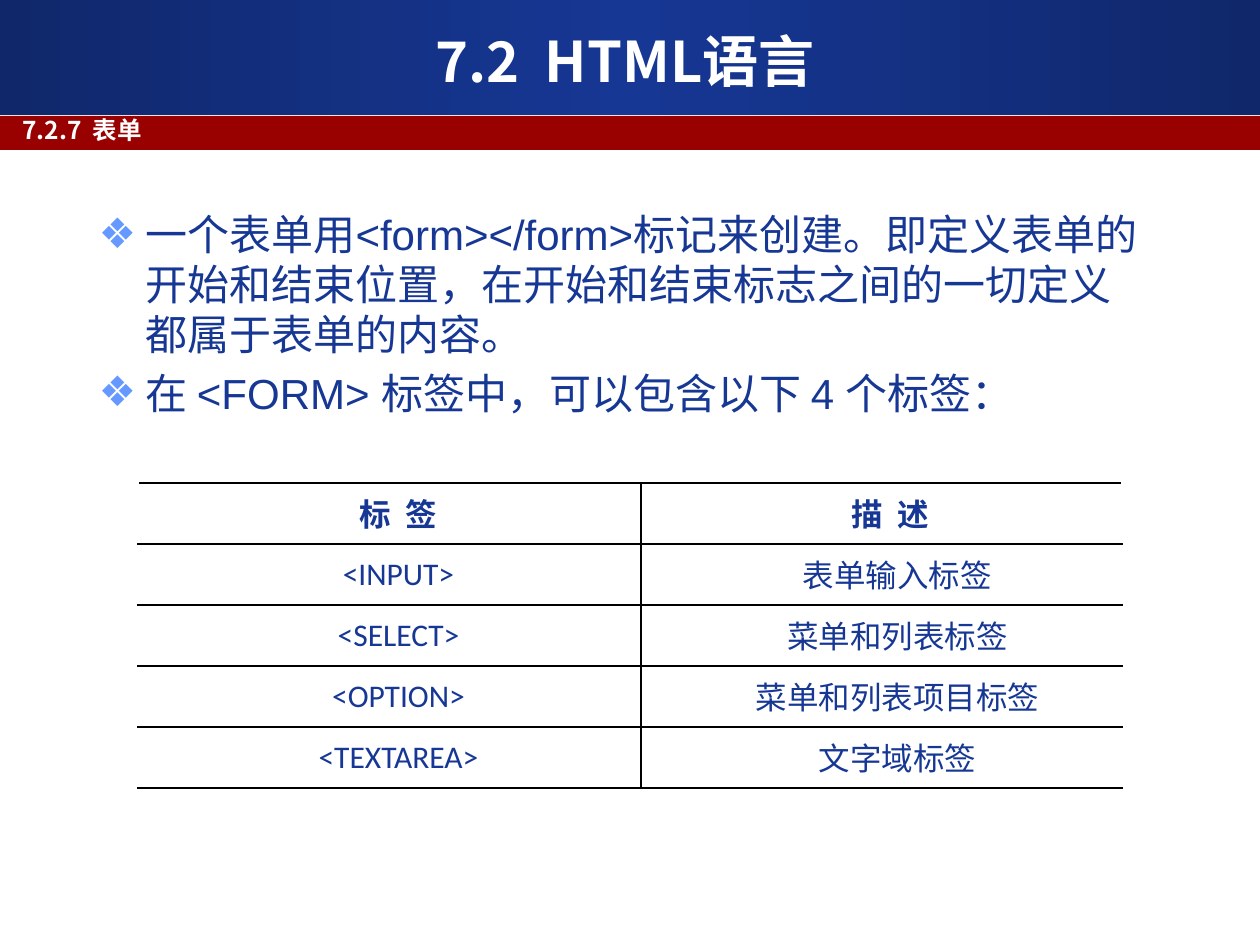
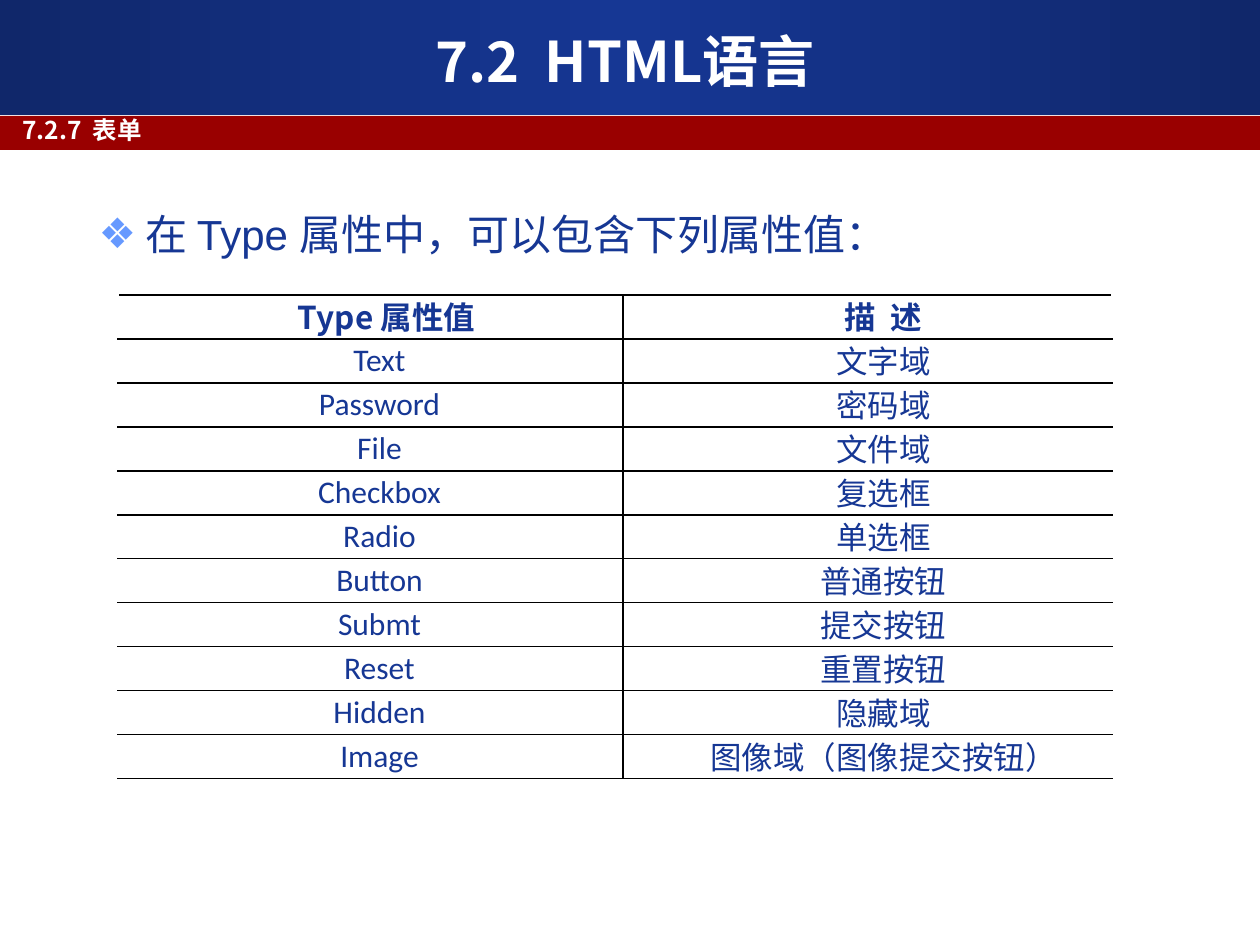
from copy import deepcopy
from dataclasses import dataclass

from lxml.etree import SubElement
from pptx import Presentation
from pptx.dml.color import RGBColor
from pptx.enum.shapes import MSO_SHAPE
from pptx.enum.text import MSO_ANCHOR, MSO_AUTO_SIZE, PP_ALIGN
from pptx.oxml import parse_xml
from pptx.oxml.ns import nsdecls, qn
from pptx.util import Emu, Pt

PX_PER_INCH = 126
SLIDE_WIDTH, SLIDE_HEIGHT = 1260, 945


@dataclass(frozen=True)
class Theme:
    navy: str = "10276A"
    blue: str = "163794"
    red: str = "990000"
    bullet: str = "6699FF"
    white: str = "FFFFFF"
    rule: str = "000000"
    cjk_font: str = "Noto Sans CJK SC"
    list_font: str = "Arial"
    cell_font: str = "Calibri"
    title_size: float = 32
    list_size: float = 24
    cell_size: float = 18
    section_size: float = 14
    list_leading: float = 28.5
    cell_leading: float = 25
    section_leading: float = 17.5


def px(length):
    return Emu(round(length * 914400 / PX_PER_INCH))


def place(shape, left, top, width, height):
    shape.left, shape.top = px(left), px(top)
    shape.width, shape.height = px(width), px(height)


class Lecture:
    """Holds the theme, the presentation and the slide being filled."""

    def __init__(self, theme):
        self.theme = theme
        self.presentation = Presentation()
        self.presentation.slide_width = px(SLIDE_WIDTH)
        self.presentation.slide_height = px(SLIDE_HEIGHT)
        self.layout = self.presentation.slide_layouts[1]
        self.slide = None

    def new_slide(self):
        first = self.slide is None
        self.slide = self.presentation.slides.add_slide(self.layout)
        if first:
            self.layout_bands()

    def layout_bands(self):
        """Draw the two header bands, then move them to the shared layout."""
        theme = self.theme
        header = self.band(0, 115)
        header.fill.gradient()
        stop_list = header._element.find(".//" + qn("a:gsLst"))
        stop_list.insert(1, deepcopy(stop_list[0]))
        header.fill.gradient_angle = 0
        colours = (theme.navy, theme.blue, theme.navy)
        for index, (stop, colour) in enumerate(zip(header.fill.gradient_stops, colours)):
            stop.position = index / 2
            stop.color.rgb = RGBColor.from_string(colour)
        section = self.band(116, 34)
        section.fill.solid()
        section.fill.fore_color.rgb = RGBColor.from_string(theme.red)
        for index, band in enumerate((header, section)):
            self.layout.shapes.element.insert(2 + index, band.element)

    def band(self, top, height):
        band = self.slide.shapes.add_shape(
            MSO_SHAPE.RECTANGLE, px(0), px(top), px(SLIDE_WIDTH), px(height))
        band.shadow.inherit = False
        band.line.fill.background()
        return band

    def format(self, paragraph, font, size, colour, bold=False, leading=None):
        if leading:
            paragraph.line_spacing = Pt(leading)
        for run in paragraph.runs:
            run.font.name, run.font.size, run.font.bold = font, Pt(size), bold
            run.font.color.rgb = RGBColor.from_string(colour)
            east_asian = SubElement(run.font._element, qn("a:ea"))
            east_asian.set("typeface", self.theme.cjk_font)

    def title(self, text):
        theme, title = self.theme, self.slide.shapes.title
        place(title, 42, 21, 1166, 78)
        frame = title.text_frame
        frame.text = text
        frame.auto_size = MSO_AUTO_SIZE.NONE
        frame.vertical_anchor = MSO_ANCHOR.MIDDLE
        frame.paragraphs[0].alignment = PP_ALIGN.CENTER
        self.format(frame.paragraphs[0], theme.cjk_font, theme.title_size,
                    theme.white, bold=True)

    def section(self, text):
        theme = self.theme
        label = self.slide.shapes.add_textbox(px(10), px(108), px(1250), px(43))
        frame = label.text_frame
        frame.word_wrap = True
        frame.text = text
        self.format(frame.paragraphs[0], theme.cjk_font, theme.section_size,
                    theme.white, bold=True, leading=theme.section_leading)

    def bullets(self, items):
        theme, body = self.theme, self.slide.placeholders[1]
        place(body, 86, 203, 1079, 669)
        frame = body.text_frame
        frame.text = "\n".join(items)
        frame.auto_size = MSO_AUTO_SIZE.NONE
        for paragraph in frame.paragraphs:
            self.format(paragraph, theme.list_font, theme.list_size, theme.blue,
                        leading=theme.list_leading)
            paragraph.space_before = Pt(5)
            properties = paragraph._p.get_or_add_pPr()
            properties.set("marL", str(px(47)))
            properties.set("indent", str(px(-47)))
            colour = SubElement(properties, qn("a:buClr"))
            SubElement(colour, qn("a:srgbClr")).set("val", theme.bullet)
            SubElement(properties, qn("a:buFont")).set("typeface", theme.list_font)
            SubElement(properties, qn("a:buChar")).set("char", "❖")

    def table(self, rows, left, top, widths, row_height, header_font, header_indents):
        theme = self.theme
        table = self.slide.shapes.add_table(
            len(rows), len(widths), px(left), px(top),
            px(sum(widths)), px(row_height * len(rows))).table
        table.first_row = table.horz_banding = False
        for column, width in zip(table.columns, widths):
            column.width = px(width)
        for row_index, row in enumerate(rows):
            table.rows[row_index].height = px(row_height)
            is_header = row_index == 0
            indents = header_indents if is_header else (18, 32)
            for column_index, text in enumerate(row):
                is_description = column_index == 1
                self.cell(table.cell(row_index, column_index), text,
                          header_font if is_header else theme.cell_font,
                          is_header, indents[column_index],
                          theme.cell_leading if is_header or is_description else None)
                self.rules(table.cell(row_index, column_index),
                           "LTB" if is_description else "RTB")

    def cell(self, cell, text, font, bold, indent, leading):
        cell.fill.background()
        cell.margin_left = cell.margin_right = px(9)
        cell.margin_top = cell.margin_bottom = 0
        cell.vertical_anchor = MSO_ANCHOR.MIDDLE
        cell.text_frame.text = text
        paragraph = cell.text_frame.paragraphs[0]
        paragraph.alignment = PP_ALIGN.CENTER
        paragraph._p.get_or_add_pPr().set("indent", str(px(indent)))
        self.format(paragraph, font, self.theme.cell_size, self.theme.blue,
                    bold, leading)

    def rules(self, cell, sides):
        """Rule the given sides (L, R, T, B, in that order) of a cell."""
        properties = cell._tc.get_or_add_tcPr()
        for index, side in enumerate(sides):
            properties.insert(index, parse_xml(
                f'<a:ln{side} {nsdecls("a")} w="{Pt(1)}"><a:solidFill>'
                f'<a:srgbClr val="{self.theme.rule}"/></a:solidFill></a:ln{side}>'))


FORM_TAGS = [
    ("标  签", "描  述"),
    ("<INPUT>", "表单输入标签"),
    ("<SELECT>", "菜单和列表标签"),
    ("<OPTION>", "菜单和列表项目标签"),
    ("<TEXTAREA>", "文字域标签"),
]
TYPE_VALUES = [
    ("Type 属性值", "描  述"),
    ("Text", "文字域"),
    ("Password", "密码域"),
    ("File", "文件域"),
    ("Checkbox", "复选框"),
    ("Radio", "单选框"),
    ("Button", "普通按钮"),
    ("Submt", "提交按钮"),
    ("Reset", "重置按钮"),
    ("Hidden", "隐藏域"),
    ("Image", "图像域（图像提交按钮）"),
]


def main():
    theme = Theme()
    lecture = Lecture(theme)
    form_points = [
        "一个表单用<form></form>标记来创建。即定义表单的开始和结束位置，"
        "在开始和结束标志之间的一切定义都属于表单的内容。",
        "在 <FORM> 标签中，可以包含以下 4 个标签：",
    ]
    type_points = ["在 Type 属性中，可以包含下列属性值："]
    form_table = dict(rows=FORM_TAGS, left=138, top=483, widths=(503, 481),
                      row_height=61, header_font=theme.cell_font,
                      header_indents=(18, 18))
    type_table = dict(rows=TYPE_VALUES, left=118, top=295, widths=(505, 489),
                      row_height=44, header_font=theme.cjk_font,
                      header_indents=(32, 32))
    for points, table in ((form_points, form_table), (type_points, type_table)):
        lecture.new_slide()
        lecture.title("7.2  HTML语言")
        lecture.section("7.2.7  表单")
        lecture.bullets(points)
        lecture.table(**table)
    lecture.presentation.save("out.pptx")


if __name__ == "__main__":
    main()
